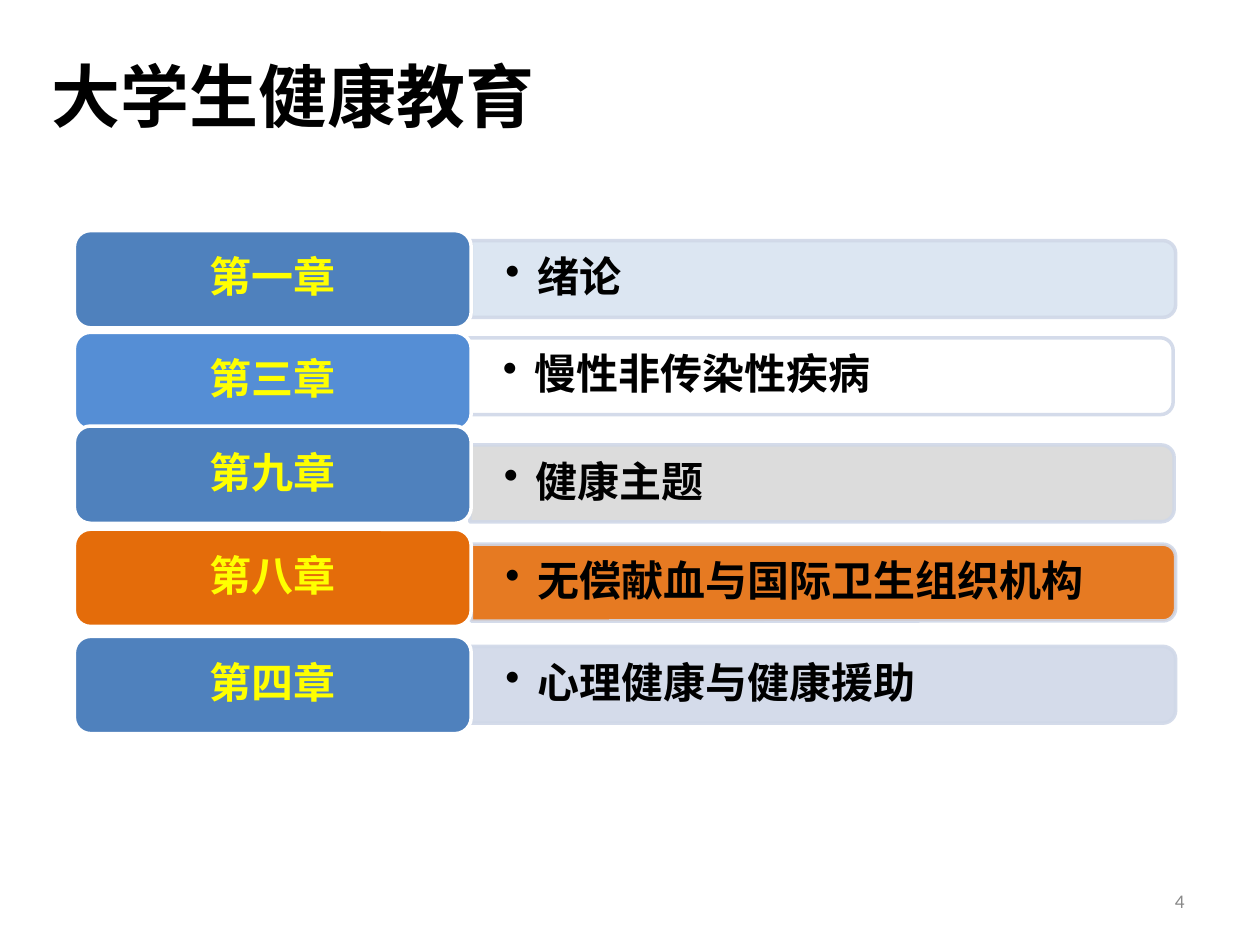
import pptx
import pptx.util
import pptx.dml.color
import pptx.enum.shapes
import pptx.enum.text
import pptx.oxml.ns
import lxml.etree

Cm, Pt = pptx.util.Cm, pptx.util.Pt
SHAPE = pptx.enum.shapes.MSO_SHAPE
ALIGN = pptx.enum.text.PP_ALIGN
COLORS = {
    "black": "000000", "white": "FFFFFF", "yellow": "FFFF00", "gray": "898989",
    "blue": "4F81BD", "sky": "558ED5", "orange": "E46C0A",
    "pale": "DCE6F2", "silver": "D9D9D9", "mist": "D0D8E8",
}
HEADING_FONT = "Noto Sans CJK SC"
LABEL_LEFT, LABEL_WIDTH, LABEL_HEIGHT = 1.5, 8, 1.96
BAR_WIDTH, BAR_HEIGHT = 14.2, 1.55
TOPIC_HEIGHT = 1.4

# label, label top, label colour, topic, bar left, bar top, bar colour, bar opacity
CHAPTERS = [
    ("第一章", 4.65, "blue", "绪论", 9.5, 4.85, "pale", 100),
    ("第三章", 6.7, "sky", "慢性非传染性疾病", 9.45, 6.81, "white", 100),
    ("第九章", 8.59, "blue", "健康主题", 9.47, 8.97, "silver", 90),
    ("第八章", 10.67, "orange", "无偿献血与国际卫生组织机构", 9.5, 10.97, "orange", 90),
    ("第四章", 12.83, "blue", "心理健康与健康援助", 9.5, 13.03, "mist", 90),
]


def add_child(parent, tag, **attributes):
    return lxml.etree.SubElement(parent, pptx.oxml.ns.qn(tag), attributes)


class Slide:
    def __init__(self, page):
        self.page = page

    def paint(self, fill, color, opacity=100):
        fill.solid()
        fill.fore_color.rgb = pptx.dml.color.RGBColor.from_string(COLORS[color])
        if opacity < 100:
            for node in fill._xPr.iter(pptx.oxml.ns.qn("a:srgbClr")):
                add_child(node, "a:alpha", val=str(opacity * 1000))

    def set_text(self, shape, text, size, color, font=HEADING_FONT, bold=True, align=ALIGN.LEFT):
        frame = shape.text_frame
        frame.text = text
        frame.word_wrap = True
        frame.vertical_anchor = pptx.enum.text.MSO_ANCHOR.MIDDLE
        para = frame.paragraphs[0]
        para.alignment = align
        para.font.size, para.font.bold, para.font.name = Pt(size), bold, font
        self.paint(para.font.fill, color)
        # East Asian characters need a typeface of their own
        add_child(para.font._element, "a:ea", typeface=font)
        return para

    def block(self, kind, left, top, width, height, fill, line, opacity=100, line_opacity=100):
        shape = self.page.shapes.add_shape(kind, Cm(left), Cm(top), Cm(width), Cm(height))
        shape.shadow.inherit = False
        self.paint(shape.fill, fill, opacity)
        shape.line.width = Pt(2)
        self.paint(shape.line.fill, line, line_opacity)
        return shape

    def title(self, text):
        box = self.page.shapes.title
        box.left, box.top, box.width, box.height = Cm(0.79), Cm(0), Cm(21.6), Cm(3.84)
        self.set_text(box, text, 39.4, "black")

    def label(self, text, top, color):
        shape = self.block(SHAPE.ROUNDED_RECTANGLE, LABEL_LEFT, top,
                           LABEL_WIDTH, LABEL_HEIGHT, color, "white")
        self.set_text(shape, text, 24, "yellow", align=ALIGN.CENTER).line_spacing = 0.9

    def bar(self, left, top, color, opacity):
        """Draw a bar upright, then turn it so its rounded end points right."""
        shift = (BAR_WIDTH - BAR_HEIGHT) / 2
        shape = self.block(SHAPE.ROUND_2_SAME_RECTANGLE, left + shift, top - shift,
                           BAR_HEIGHT, BAR_WIDTH, color, "mist", opacity, 90)
        shape.rotation = 90

    def topic(self, text, left, bar_top):
        top = bar_top + (BAR_HEIGHT - TOPIC_HEIGHT) / 2
        box = self.page.shapes.add_textbox(Cm(left), Cm(top), Cm(BAR_WIDTH), Cm(TOPIC_HEIGHT))
        para = self.set_text(box, text, 24, "black")
        frame = box.text_frame
        frame.margin_left = frame.margin_right = Cm(0.69)
        frame.margin_top = frame.margin_bottom = Cm(0.35)
        para.level = 1
        para.line_spacing = 0.9
        properties = para._p.get_or_add_pPr()
        indent = Cm(0.64)
        properties.set("marL", str(int(indent)))
        properties.set("indent", str(-int(indent)))
        bullet = add_child(properties, "a:buChar", char="•")
        properties.find(pptx.oxml.ns.qn("a:defRPr")).addprevious(bullet)

    def page_number(self, text):
        box = self.page.shapes.add_textbox(Cm(18.2), Cm(17.65), Cm(5.93), Cm(1.01))
        self.set_text(box, text, 11, "gray", "Calibri", False, ALIGN.RIGHT)


def main():
    deck = pptx.Presentation()
    deck.slide_width, deck.slide_height = Cm(25.4), Cm(19.05)
    slide = Slide(deck.slides.add_slide(deck.slide_layouts.get_by_name("Title Only")))
    slide.title("大学生健康教育")
    for label, label_top, label_color, topic, left, top, color, opacity in CHAPTERS:
        slide.bar(left, top, color, opacity)
        slide.topic(topic, left, top)
        slide.label(label, label_top, label_color)
    slide.page_number("4")
    deck.save("out.pptx")


if __name__ == "__main__":
    main()
